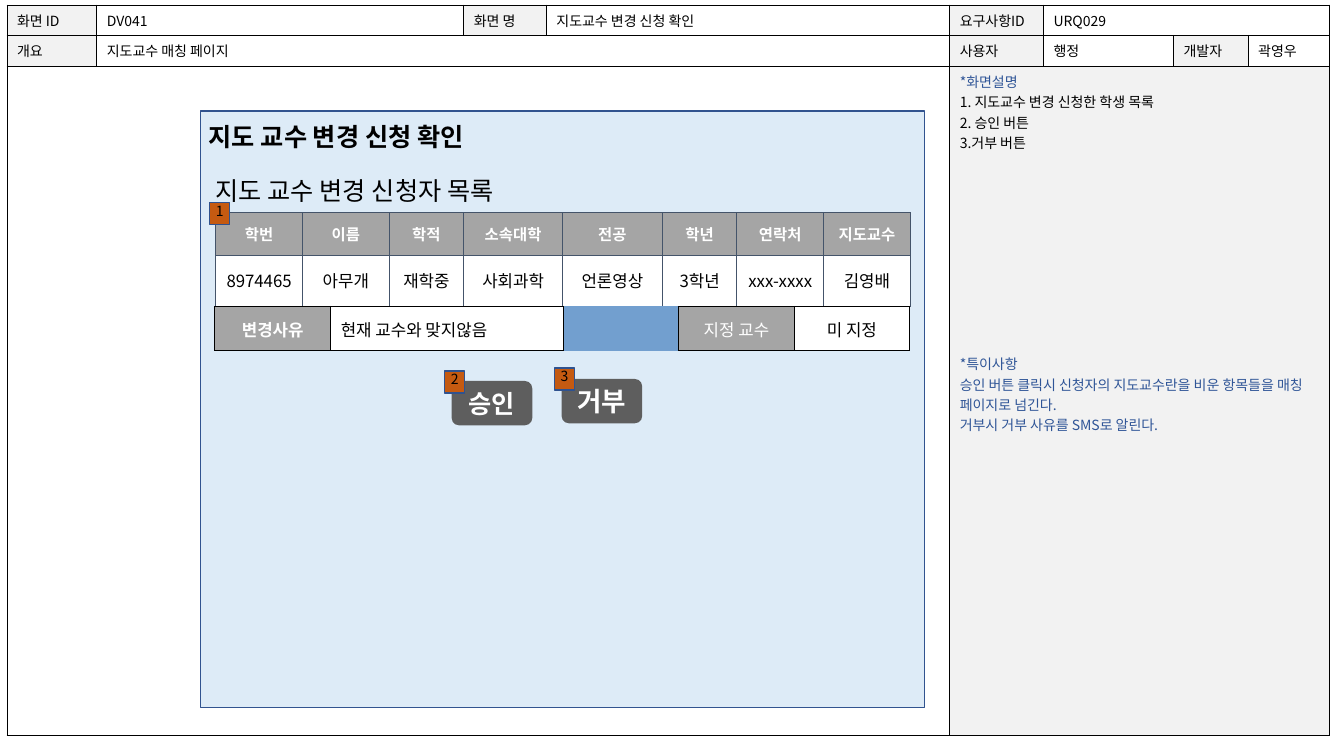
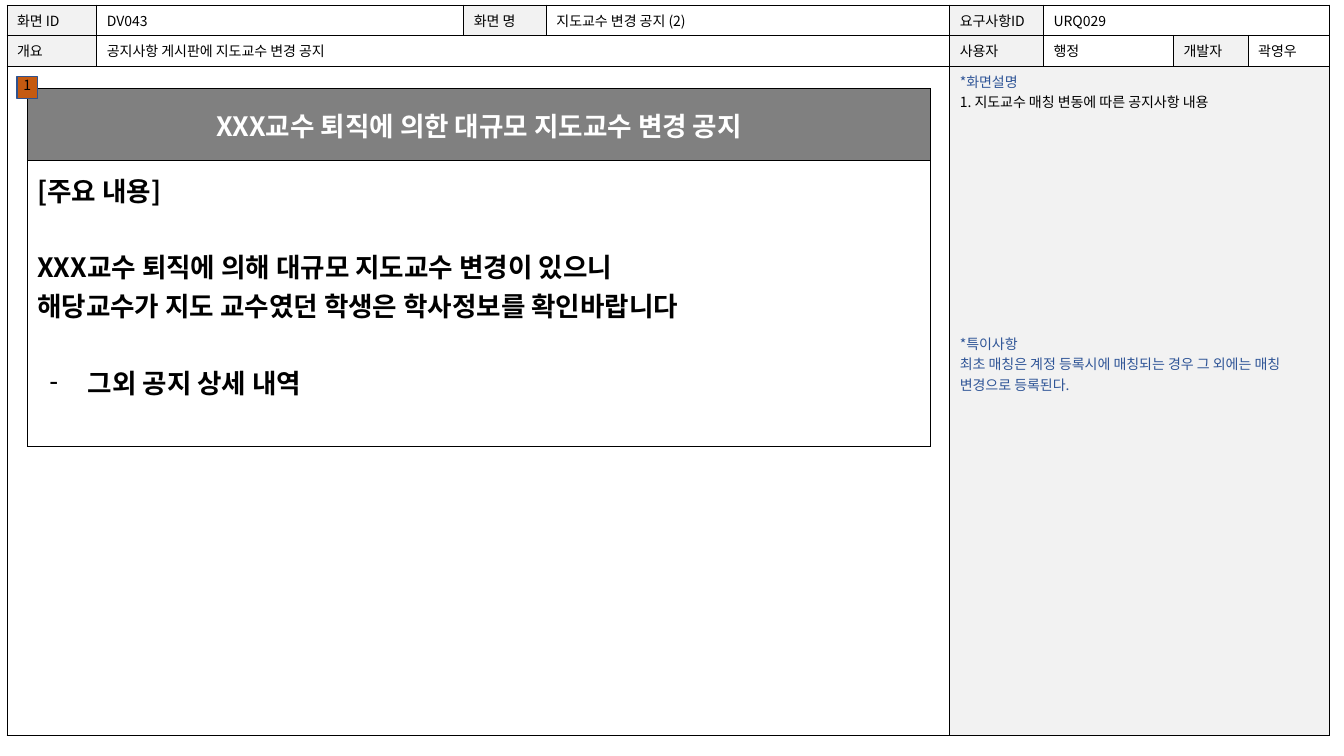
from lxml import etree
from pptx import Presentation
from pptx.dml.color import RGBColor
from pptx.enum.shapes import MSO_SHAPE
from pptx.enum.text import MSO_ANCHOR, PP_ALIGN
from pptx.oxml.ns import qn
from pptx.util import Inches, Pt

RECT, ROUNDED = MSO_SHAPE.RECTANGLE, MSO_SHAPE.ROUNDED_RECTANGLE
TOP, MIDDLE = MSO_ANCHOR.TOP, MSO_ANCHOR.MIDDLE
LEFT, CENTER = PP_ALIGN.LEFT, PP_ALIGN.CENTER

FONT, BULLET_FONT = "Noto Sans CJK KR", "Arial"
LINE_HEIGHT = 1.44  # line pitch of the font, in ems
BLACK, WHITE = "000000", "FFFFFF"
LABEL, HEADING, TITLE_BAND = "F2F2F2", "A5A5A5", "808080"
PANEL, PANEL_LINE, GRID_LINE = "DDEBF7", "31538F", "44546A"
BADGE, BADGE_LINE = "C55A11", "2F528F"
BUTTON, NOTE_BLUE = "5E5E5E", "2F5597"

FRAME_COLS = [0.89, 3.64, 0.82, 4, 0.93, 1.29, 0.74, 0.81]
FRAME_ROWS = [0.3, 0.31, 6.64]
NOTES_COL = 4
STUDENT_COLS = [0.86, 0.86, 0.74, 0.98, 0.99, 0.74, 0.86, 0.86]
STUDENT_ROWS = [
    ["학번", "이름", "학적", "소속대학", "전공", "학년", "연락처", "지도교수"],
    ["8974465", "아무개", "재학중", "사회과학", "언론영상", "3학년", "xxx-xxxx", "김영배"],
]
REASON_COLS = [1.15, 1.15, 1.16, 1.14, 1.15, 1.14]


def rgb(value):
    return RGBColor.from_string(value)


def set_margins(holder, horizontal, vertical, anchor):
    """Set insets and anchor of a text frame or a table cell."""
    holder.margin_left = holder.margin_right = Inches(horizontal)
    holder.margin_top = holder.margin_bottom = Inches(vertical)
    holder.vertical_anchor = anchor


def add_line(tf, text, size=10, color=BLACK, bold=False, align=LEFT,
             skip=0, indent=(0, 0), bullet=None):
    """Append a paragraph, leaving room for `skip` lines above it."""
    p = tf.add_paragraph() if tf.text else tf.paragraphs[0]
    p.text = text
    p.alignment = align
    if skip:
        p.space_before = Pt(round(skip * size * LINE_HEIGHT, 1))
    p.font.size, p.font.bold, p.font.name = Pt(size), bold, FONT
    p.font.color.rgb = rgb(color)
    pPr = p._p.get_or_add_pPr()
    defaults = pPr.find(qn("a:defRPr"))
    etree.SubElement(defaults, qn("a:ea"), typeface=FONT)
    pPr.set("marL", str(Inches(indent[0])))
    pPr.set("indent", str(Inches(indent[1])))
    if bullet:
        defaults.addprevious(etree.Element(qn("a:buFont"), typeface=BULLET_FONT))
        defaults.addprevious(etree.Element(qn("a:buChar"), char=bullet))


def set_borders(cell, color, width):
    tcPr = cell._tc.get_or_add_tcPr()
    for i, side in enumerate("LRTB"):
        ln = etree.Element(qn("a:ln" + side), w=str(Pt(width)))
        fill = etree.SubElement(ln, qn("a:solidFill"))
        etree.SubElement(fill, qn("a:srgbClr"), val=color)
        tcPr.insert(i, ln)


def paint(target, color):
    target.fill.solid()
    target.fill.fore_color.rgb = rgb(color)


def add_grid(slide, x, y, cols, rows, color=BLACK, width=0.75):
    """Add a table of white cells with plain borders."""
    tbl = slide.shapes.add_table(
        len(rows), len(cols), Inches(x), Inches(y),
        Inches(sum(cols)), Inches(sum(rows))).table
    tbl.first_row = tbl.horz_banding = False
    for col, w in zip(tbl.columns, cols):
        col.width = Inches(w)
    for row, h in zip(tbl.rows, rows):
        row.height = Inches(h)
    for cell in tbl.iter_cells():
        paint(cell, WHITE)
        set_borders(cell, color, width)
    return tbl


def fill_cell(cell, text, fill=WHITE, margin_y=0.1, anchor=MIDDLE, **style):
    paint(cell, fill)
    set_margins(cell, 0.1, margin_y, anchor)
    add_line(cell.text_frame, text, **style)


def add_box(slide, kind, x, y, w, h, fill, line=None):
    sp = slide.shapes.add_shape(kind, Inches(x), Inches(y), Inches(w), Inches(h))
    sp.shadow.inherit = False
    paint(sp, fill)
    if line:
        sp.line.color.rgb = rgb(line)
        sp.line.width = Pt(1)
    else:
        sp.line.fill.background()
    return sp


def add_badge(slide, number, x, y):
    sp = add_box(slide, RECT, x, y, 0.2, 0.22, BADGE, BADGE_LINE)
    set_margins(sp.text_frame, 0, 0, TOP)
    add_line(sp.text_frame, str(number), align=CENTER)


def add_button(slide, text, x, y, size):
    sp = add_box(slide, ROUNDED, x, y, 0.8, 0.44, BUTTON)
    set_margins(sp.text_frame, 0.1, 0.1, MIDDLE)
    add_line(sp.text_frame, text, size, WHITE, True, CENTER)


def add_heading(slide, text, x, y, w, bold=False):
    tf = slide.shapes.add_textbox(
        Inches(x), Inches(y), Inches(w), Inches(0.41)).text_frame
    tf.word_wrap = True
    set_margins(tf, 0, 0, MIDDLE)
    add_line(tf, text, 18, bold=bold)


def add_screen(prs, screen_id, name, summary, steps, remarks, skip):
    """Add a slide with the shared form: header rows, canvas and notes."""
    slide = prs.slides.add_slide(prs.slide_layouts[6])
    tbl = add_grid(slide, 0.07, 0.05, FRAME_COLS, FRAME_ROWS)
    for row, first, last in [(0, 5, 7), (1, 1, 3), (2, 0, 3), (2, 4, 7)]:
        tbl.cell(row, first).merge(tbl.cell(row, last))
    header = [
        {0: "화면 ID", 1: screen_id, 2: "화면 명", 3: name,
         4: "요구사항ID", 5: "URQ029"},
        {0: "개요", 1: summary, 4: "사용자", 5: "행정",
         6: "개발자", 7: "곽영우"},
    ]
    for row, entries in enumerate(header):
        for col, text in entries.items():
            fill_cell(tbl.cell(row, col), text, WHITE if col % 2 else LABEL,
                      0.05, TOP)

    notes = tbl.cell(2, NOTES_COL)
    fill_cell(notes, "*화면설명", LABEL, 0.05, TOP, color=NOTE_BLUE)
    for step in steps:
        add_line(notes.text_frame, step, indent=(0.25, -0.25))
    add_line(notes.text_frame, "*특이사항", color=NOTE_BLUE, skip=skip)
    for remark in remarks:
        add_line(notes.text_frame, remark, color=NOTE_BLUE)
    return slide


def add_request_screen(prs):
    slide = add_screen(
        prs, "DV041", "지도교수 변경 신청 확인", "지도교수 매칭 페이지",
        ["1. 지도교수 변경 신청한 학생 목록", "2. 승인 버튼", "3.거부 버튼"],
        ["승인 버튼 클릭시 신청자의 지도교수란을 비운 항목들을 매칭 페이지로 넘긴다.",
         "거부시 거부 사유를 SMS로 알린다."], skip=10)
    add_box(slide, RECT, 1.99, 1.1, 7.18, 5.92, PANEL, PANEL_LINE)
    add_heading(slide, "지도 교수 변경 신청 확인", 2.07, 1.15, 3.11, bold=True)

    students = add_grid(slide, 2.14, 2.11, STUDENT_COLS, [0.42, 0.51], GRID_LINE)
    styles = [dict(fill=HEADING, size=11, color=WHITE, bold=True), dict(size=12)]
    for row, (texts, style) in enumerate(zip(STUDENT_ROWS, styles)):
        for col, text in enumerate(texts):
            fill_cell(students.cell(row, col), text, align=CENTER, **style)
    add_heading(slide, "지도 교수 변경 신청자 목록", 2.14, 1.68, 3.3)
    add_badge(slide, 1, 2.08, 2.01)

    reason = add_grid(slide, 2.13, 3.04, REASON_COLS, [0.44], width=1)
    for first in (1, 4):
        reason.cell(0, first).merge(reason.cell(0, first + 1))
    label = dict(fill=HEADING, size=12, color=WHITE, align=CENTER)
    fill_cell(reason.cell(0, 0), "변경사유", bold=True, **label)
    fill_cell(reason.cell(0, 1), "현재 교수와 맞지않음", size=12)
    fill_cell(reason.cell(0, 3), "지정 교수", **label)
    fill_cell(reason.cell(0, 4), "미 지정", size=12, align=CENTER)

    add_button(slide, "승인", 4.48, 3.78, 18)
    add_button(slide, "거부", 5.57, 3.76, 19)
    add_badge(slide, 2, 4.41, 3.68)
    add_badge(slide, 3, 5.5, 3.65)


def add_notice_screen(prs):
    slide = add_screen(
        prs, "DV043", "지도교수 변경 공지 (2)", "공지사항 게시판에 지도교수 변경 공지",
        ["1. 지도교수 매칭 변동에 따른 공지사항 내용"],
        ["최초 매칭은 계정 등록시에 매칭되는 경우 그 외에는 매칭 변경으로 등록된다."],
        skip=11)
    notice = add_grid(slide, 0.27, 0.88, [1.14, 3.83, 1.58, 1.31, 1.1], [0.71] * 5)
    notice.cell(0, 0).merge(notice.cell(0, 4))
    notice.cell(1, 0).merge(notice.cell(4, 4))
    bold = dict(size=19, bold=True)
    fill_cell(notice.cell(0, 0), "XXX교수 퇴직에 의한 대규모 지도교수 변경 공지",
              TITLE_BAND, color=WHITE, align=CENTER, **bold)
    body = notice.cell(1, 0)
    fill_cell(body, "[주요 내용]", anchor=TOP, **bold)
    tf = body.text_frame
    add_line(tf, "XXX교수 퇴직에 의해 대규모 지도교수 변경이 있으니", skip=1, **bold)
    add_line(tf, "해당교수가 지도 교수였던 학생은 학사정보를 확인바랍니다", **bold)
    add_line(tf, "그외 공지 상세 내역", skip=1, indent=(0.5, -0.38), bullet="-", **bold)
    add_badge(slide, 1, 0.17, 0.76)


def main():
    prs = Presentation()
    prs.slide_width, prs.slide_height = Inches(13.33), Inches(7.5)
    add_request_screen(prs)
    add_notice_screen(prs)
    prs.save("out.pptx")


if __name__ == "__main__":
    main()
